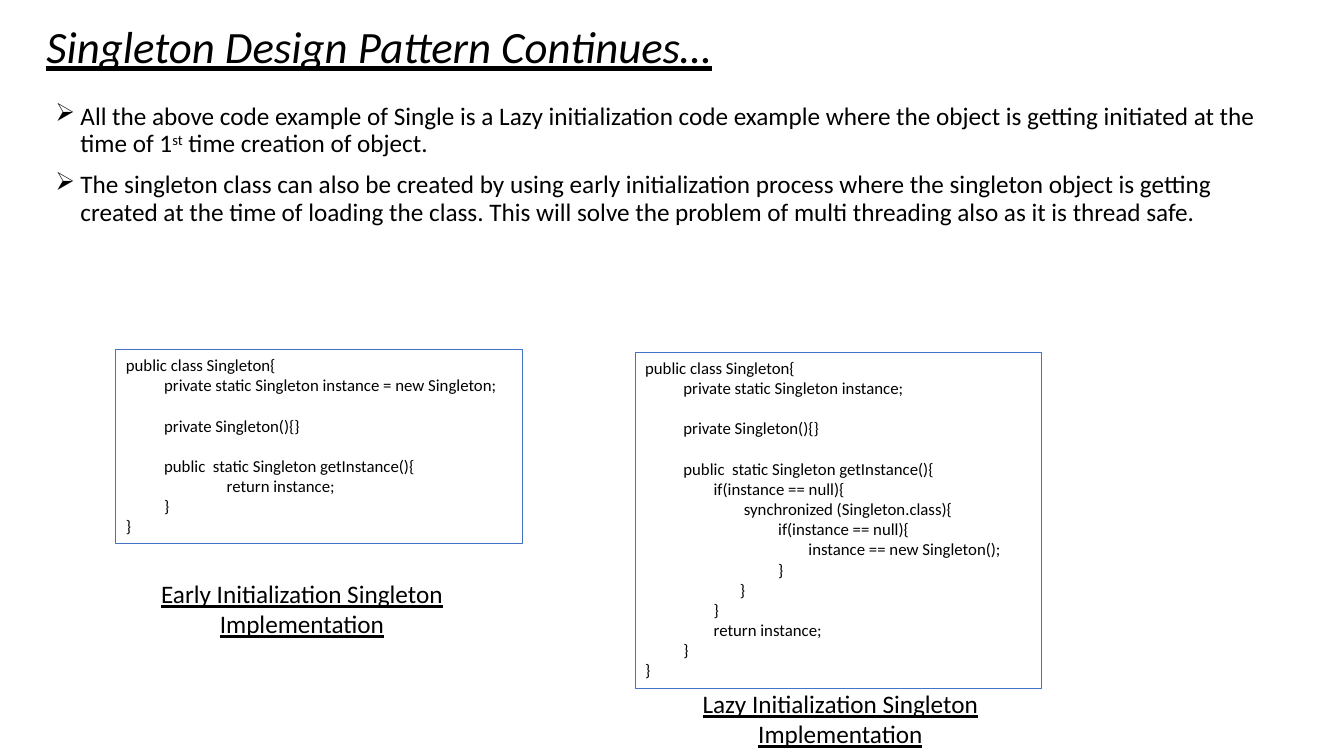
from dataclasses import dataclass
from lxml.etree import SubElement
from pptx import Presentation
from pptx.dml.color import RGBColor as Rgb
from pptx.enum.shapes import MSO_SHAPE as Shape
from pptx.enum.text import MSO_ANCHOR as Anchor, MSO_AUTO_SIZE as Fit, PP_ALIGN as Align
from pptx.oxml.ns import qn
from pptx.util import Inches, Pt


@dataclass(frozen=True)
class Theme:
    font: str = "Calibri"
    ink: Rgb = Rgb(0, 0, 0)
    edge: Rgb = Rgb(0x44, 0x72, 0xC4)
    title: int = 32
    body: int = 18
    code: int = 12
    blank: float = 14.4


THEME = Theme()

TITLE = "Singleton Design Pattern Continues…"
POINTS = [
    [("All the above code example of Single is a Lazy initialization code example where "
      "the object is getting initiated at the time of 1", False),
     ("st", True),
     (" time creation of object.", False)],
    [("The singleton class can also be created by using early initialization process where "
      "the singleton object is getting created at the time of loading the class. This will "
      "solve the problem of multi threading also as it is thread safe.", False)],
]
LAZY = [
    (0, "public class Singleton{"),
    (0.38, "private static Singleton instance;"),
    (0, ""),
    (0.38, "private Singleton(){}"),
    (0, ""),
    (0.38, "public  static Singleton getInstance(){"),
    (0.68, "if(instance == null){"),
    (0.98, "synchronized (Singleton.class){"),
    (1.32, "if(instance == null){"),
    (1.62, "instance == new Singleton();"),
    (1.32, "}"),
    (0.94, "}"),
    (0.68, "}"),
    (0.68, "return instance;"),
    (0.38, "}"),
    (0, "}"),
]
EARLY = [
    (0, "public class Singleton{"),
    (0.38, "private static Singleton instance = new Singleton;"),
    (0, ""),
    (0.38, "private Singleton(){}"),
    (0, ""),
    (0.38, "public  static Singleton getInstance(){"),
    (1, "return instance;"),
    (0.38, "}"),
    (0, "}"),
]
PANELS = [
    (LAZY, (6.3, 3.5, 4.03, 3.33),
     "Lazy Initialization Singleton Implementation", (6.73, 6.78, 3.21, 0.71)),
    (EARLY, (1.15, 3.47, 4.03, 1.92),
     "Early Initialization Singleton Implementation", (1.39, 5.69, 3.21, 0.71)),
]


def place(box):
    return [Inches(n) for n in box]


def style(para, size, line=False):
    font = para.font
    font.name, font.size = THEME.font, Pt(size)
    font.color.rgb = THEME.ink
    if line:
        font.underline = True


def indent(para, left, first=0):
    props = para._p.get_or_add_pPr()
    props.set("marL", str(Inches(left)))
    props.set("indent", str(Inches(first)))
    return props


def lines(frame, count):
    return [frame.paragraphs[0]] + [frame.add_paragraph() for _ in range(count - 1)]


def text_box(slide, box):
    frame = slide.shapes.add_textbox(*place(box)).text_frame
    frame.word_wrap = True
    return frame


def add_title(slide):
    head = slide.shapes.title
    head.left, head.top, head.width, head.height = place((0.36, 0, 7.37, 0.98))
    frame = head.text_frame
    frame.text = TITLE
    frame.auto_size = Fit.NONE
    frame.vertical_anchor = Anchor.MIDDLE
    para = frame.paragraphs[0]
    para.alignment, para.line_spacing = Align.LEFT, 0.9
    style(para, THEME.title, line=True)
    para.font.italic = True


def add_points(slide):
    frame = text_box(slide, (0.45, 0.98, 12.14, 2.32))
    for para, parts in zip(lines(frame, len(POINTS)), POINTS):
        para.line_spacing, para.space_before = 0.9, Pt(10)
        props = indent(para, 0.25, -0.25)
        SubElement(props, qn("a:buChar")).set("char", "➢")
        style(para, THEME.body)
        for text, raised in parts:
            run = para.add_run()
            run.text = text
            if raised:
                run._r.get_or_add_rPr().set("baseline", "30000")


def add_code(slide, code, box):
    rect = slide.shapes.add_shape(Shape.RECTANGLE, *place(box))
    rect.shadow.inherit = False
    rect.fill.background()
    rect.line.color.rgb, rect.line.width = THEME.edge, Pt(0.75)
    frame = rect.text_frame
    frame.word_wrap = True
    frame.vertical_anchor = Anchor.TOP
    before = [""] + [text for _, text in code]
    rows = [(left, text, i and not before[i])
            for i, (left, text) in enumerate(code) if text]
    for para, (left, text, gap) in zip(lines(frame, len(rows)), rows):
        para.text, para.alignment = text, Align.LEFT
        indent(para, left)
        if gap:
            para.space_before = Pt(THEME.blank)
        style(para, THEME.code)


def add_label(slide, text, box):
    para = text_box(slide, box).paragraphs[0]
    para.text, para.alignment = text, Align.CENTER
    style(para, THEME.body, line=True)


def main():
    deck = Presentation()
    deck.slide_width, deck.slide_height = Inches(13.33), Inches(7.5)
    slide = deck.slides.add_slide(deck.slide_layouts[5])
    add_title(slide)
    add_points(slide)
    for code, box, label, spot in PANELS:
        add_code(slide, code, box)
        add_label(slide, label, spot)
    deck.save("out.pptx")


if __name__ == "__main__":
    main()
